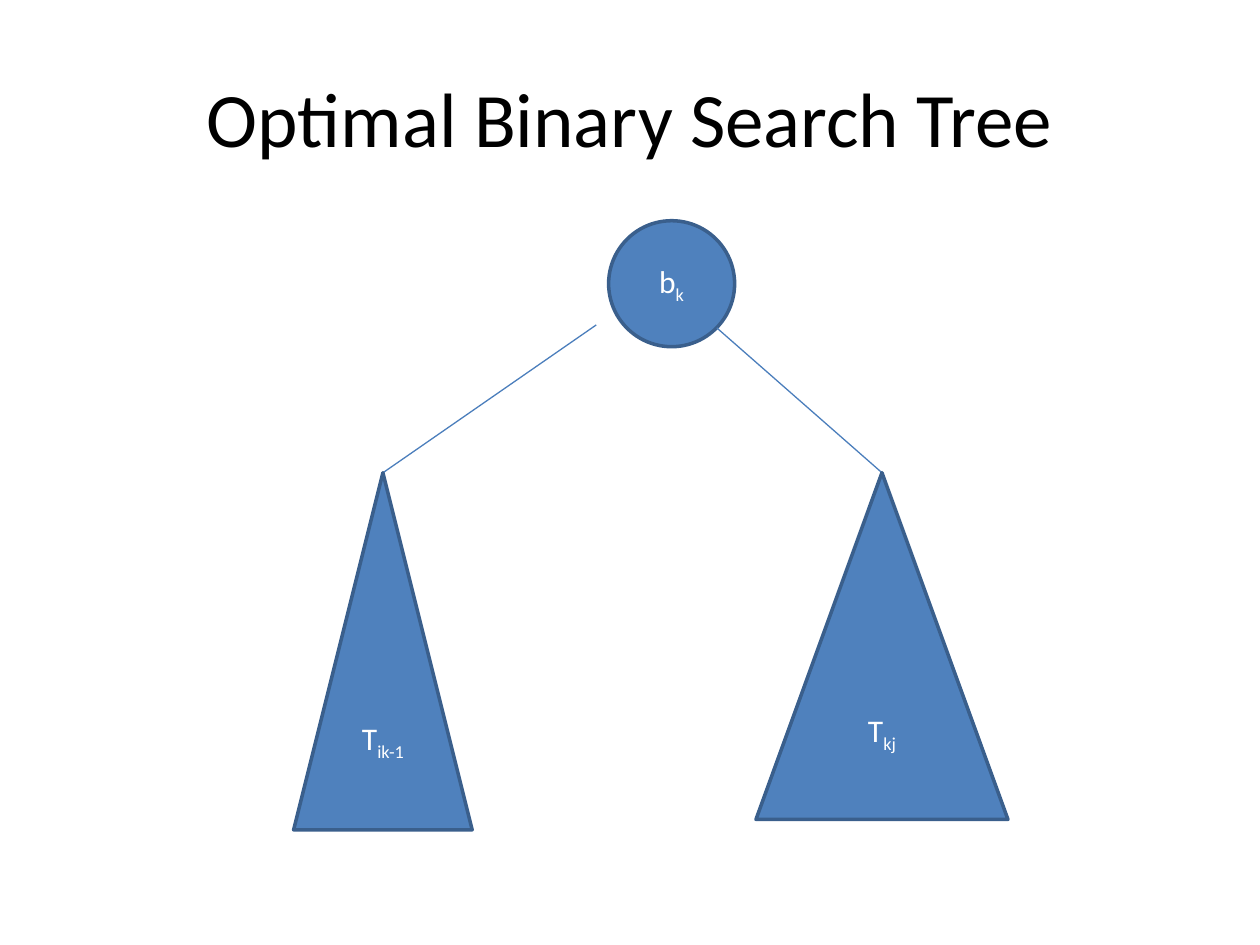
from dataclasses import dataclass

from lxml import etree
from pptx import Presentation
from pptx.dml.color import RGBColor as RGB
from pptx.enum.shapes import MSO_CONNECTOR as CONN, MSO_SHAPE as SHAPE
from pptx.enum.text import MSO_ANCHOR as ANCHOR, PP_ALIGN as ALIGN
from pptx.oxml.ns import qn
from pptx.util import Cm, Pt


@dataclass(frozen=True)
class Theme:
    font: str = "Calibri"
    title_size: int = 44
    node_size: int = 18
    title: RGB = RGB(0, 0, 0)
    node_text: RGB = RGB(255, 255, 255)
    fill: RGB = RGB(0x4F, 0x81, 0xBD)
    outline: RGB = RGB(0x3A, 0x5F, 0x8C)
    edge: RGB = RGB(0x4B, 0x7E, 0xBC)
    outline_width: float = 2
    edge_width: float = 0.75


THEME = Theme()


def write(sp, text, size, color, subscript=""):
    tf = sp.text_frame
    tf.word_wrap = True
    tf.vertical_anchor = ANCHOR.MIDDLE
    p = tf.paragraphs[0]
    p.text = text
    p.alignment = ALIGN.CENTER
    if subscript:
        r = p.add_run()
        r.text = subscript
        r.font._element.set("baseline", "-25000")
    for r in p.runs:
        r.font.name = THEME.font
        r.font.size = Pt(size)
        r.font.color.rgb = color


def add_title(s, box, text):
    sp = s.shapes.add_textbox(*map(Cm, box))
    write(sp, text, THEME.title_size, THEME.title)


def add_node(s, kind, box, text, subscript):
    sp = s.shapes.add_shape(kind, *map(Cm, box))
    sp.shadow.inherit = False
    sp.fill.solid()
    sp.fill.fore_color.rgb = THEME.fill
    sp.line.color.rgb = THEME.outline
    sp.line.width = Pt(THEME.outline_width)
    write(sp, text, THEME.node_size, THEME.node_text, subscript)


def add_edge(s, start, end):
    line = s.shapes.add_connector(CONN.STRAIGHT, *map(Cm, start + end))
    line.line.color.rgb = THEME.edge
    line.line.width = Pt(THEME.edge_width)
    etree.SubElement(line._element.spPr, qn("a:effectLst"))


def add_tree(s, left, top, root, subtrees):
    x, diameter, text, subscript = root
    add_node(s, SHAPE.OVAL, (left + x, top, diameter, diameter), text, subscript)
    level = top + 2 * diameter
    for x, width, _, (dx, dy), _, _ in subtrees:
        add_edge(s, (left + dx, top + dy), (left + x + width / 2, level))
    for x, width, height, _, text, subscript in subtrees:
        box = (left + x, level, width, height)
        add_node(s, SHAPE.ISOSCELES_TRIANGLE, box, text, subscript)


prs = Presentation()
prs.slide_width, prs.slide_height = Cm(25.4), Cm(19.05)
s = prs.slides.add_slide(prs.slide_layouts[6])
add_title(s, (1.27, 0.76, 22.86, 3.18), "Optimal Binary Search Tree")
add_tree(
    s, 5.92, 4.45,
    root=(6.35, 2.54, "b", "k"),
    subtrees=[
        (0, 3.6, 7.2, (6.1, 2.1), "T", "ik-1"),
        (9.32, 5.08, 6.99, (8.53, 2.16), "T", "kj"),
    ],
)
prs.save("out.pptx")
